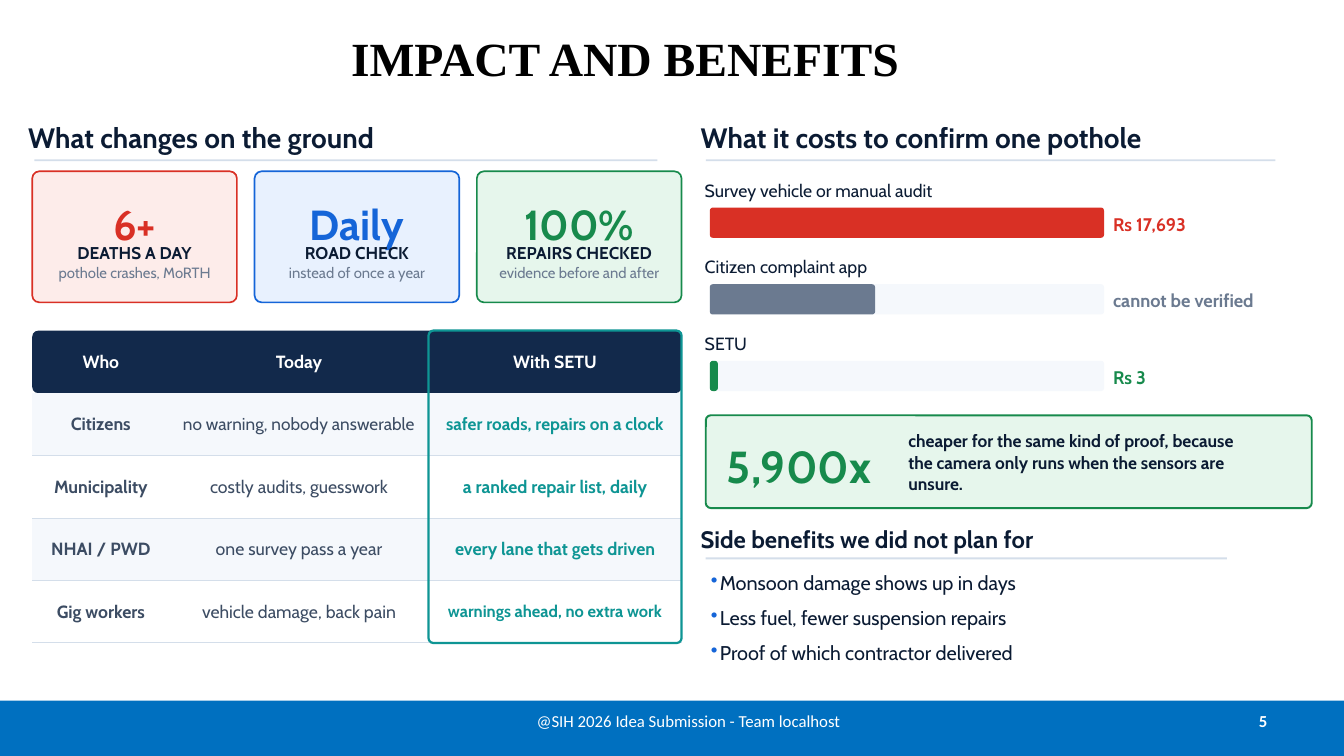
from lxml import etree
from pptx import Presentation
from pptx.dml.color import RGBColor
from pptx.enum.shapes import MSO_SHAPE
from pptx.enum.text import MSO_ANCHOR, PP_ALIGN
from pptx.oxml.ns import qn
from pptx.util import Inches, Pt

COLORS = {
    "white": "FFFFFF", "black": "000000", "footer": "0070C0",
    "navy": "12294B", "ink": "0B1B33", "slate": "3C4C63", "grey": "6B7A90",
    "rule": "D4DEEA", "pale": "F5F8FC", "teal": "0E9594",
    "red": "D93025", "red_tint": "FDECEA", "blue": "1565D8", "blue_tint": "E8F1FE",
    "green": "178A4C", "green_tint": "E6F6EC",
}
ALIGN = {"l": PP_ALIGN.LEFT, "c": PP_ALIGN.CENTER, "r": PP_ALIGN.RIGHT}
TABLE_LEFT, TABLE_TOP, ROW_HEIGHT = 0.32, 3.28, 0.62
COLUMN_WIDTHS = (1.36, 2.57, 2.51)
TABLE_WIDTH = sum(COLUMN_WIDTHS)


def rgb(name):
    return RGBColor.from_string(COLORS[name])


def add_run(p, text, size=12.6, color="ink", bold=False, font="Cabin"):
    r = p.add_run()
    r.text = text
    r.font.size = Pt(size)
    r.font.name = font
    r.font.bold = bold
    r.font.color.rgb = rgb(color)


def add_text(slide, text, x, y, w, h, align="l", wrap=False, line_pt=None, **style):
    tf = slide.shapes.add_textbox(Inches(x), Inches(y), Inches(w), Inches(h)).text_frame
    tf.margin_left = tf.margin_right = tf.margin_top = tf.margin_bottom = 0
    tf.word_wrap = wrap
    tf.vertical_anchor = MSO_ANCHOR.MIDDLE
    p = tf.paragraphs[0]
    p.alignment = ALIGN[align]
    if line_pt:
        p.line_spacing = Pt(line_pt)
    add_run(p, text, **style)
    return tf


def add_box(slide, kind, x, y, w, h, fill=None, line=None, width=1.2, radius=None):
    sp = slide.shapes.add_shape(kind, Inches(x), Inches(y), Inches(w), Inches(h))
    sp.shadow.inherit = False
    if radius is not None:
        sp.adjustments[0] = radius / min(w, h)
    if fill:
        sp.fill.solid()
        sp.fill.fore_color.rgb = rgb(fill)
    else:
        sp.fill.background()
    if line:
        sp.line.color.rgb = rgb(line)
        sp.line.width = Pt(width)
    else:
        sp.line.fill.background()
    return sp


def add_heading(slide, text, x, y, h, size, rule_x, rule_y, rule_w):
    add_text(slide, text, x, y, 5, h, size=size, bold=True)
    add_box(slide, MSO_SHAPE.RECTANGLE, rule_x, rule_y, rule_w, 0.02, "rule")


def add_card(slide, x, color, figure, label, note):
    add_box(slide, MSO_SHAPE.ROUNDED_RECTANGLE, x, 1.7, 2.03, 1.3, f"{color}_tint", color, radius=0.07)
    add_text(slide, figure, x, 1.82, 2.03, 0.79, "c", size=30, color=color, bold=True)
    add_text(slide, label, x, 2.35, 2.03, 0.32, "c", size=12.2, bold=True)
    add_text(slide, note, x, 2.56, 2.03, 0.28, "c", size=10.6, color="grey")


def set_borders(cell, ruled_sides):
    tc_pr = cell._tc.get_or_add_tcPr()
    for i, side in enumerate(("lnL", "lnR", "lnT", "lnB")):
        ln = etree.Element(qn(f"a:{side}"), w="9525")
        if side in ruled_sides:
            fill = etree.SubElement(ln, qn("a:solidFill"))
            etree.SubElement(fill, qn("a:srgbClr"), val=COLORS["rule"])
        else:
            etree.SubElement(ln, qn("a:noFill"))
        tc_pr.insert(i, ln)


def add_benefit_table(slide, rows):
    add_box(slide, MSO_SHAPE.ROUNDED_RECTANGLE, TABLE_LEFT, TABLE_TOP, TABLE_WIDTH, ROW_HEIGHT,
            "navy", radius=0.06)
    table = slide.shapes.add_table(len(rows), 3, Inches(TABLE_LEFT), Inches(TABLE_TOP),
                                   Inches(TABLE_WIDTH), Inches(ROW_HEIGHT * len(rows))).table
    table.first_row = table.horz_banding = False
    for column, width in zip(table.columns, COLUMN_WIDTHS):
        column.width = Inches(width)
    sizes = {"no warning, nobody answerable": 12.3, "safer roads, repairs on a clock": 12.3,
             "warnings ahead, no extra work": 11.8}
    for i, row in enumerate(rows):
        table.rows[i].height = Inches(ROW_HEIGHT)
        ruled_sides = [side for side, first in (("lnT", 2), ("lnB", 1)) if i >= first]
        for j, text in enumerate(row):
            cell = table.cell(i, j)
            if i % 2:
                cell.fill.solid()
                cell.fill.fore_color.rgb = rgb("pale")
            else:
                cell.fill.background()
            cell.vertical_anchor = MSO_ANCHOR.MIDDLE
            cell.margin_left = cell.margin_right = 0
            p = cell.text_frame.paragraphs[0]
            p.alignment = PP_ALIGN.CENTER
            color = "white" if i == 0 else "teal" if j == 2 else "slate"
            add_run(p, text, sizes.get(text, 12.6), color, bold=i == 0 or j != 1)
            set_borders(cell, ruled_sides)
    add_box(slide, MSO_SHAPE.ROUNDED_RECTANGLE, TABLE_LEFT + sum(COLUMN_WIDTHS[:2]), TABLE_TOP,
            COLUMN_WIDTHS[2], ROW_HEIGHT * len(rows), line="teal", width=1.6, radius=0.05)


def add_cost_bar(slide, y, label, length, value, color):
    track = 3.91
    add_text(slide, label, 6.99, y, 2.5, 0.33)
    if length < track:
        add_box(slide, MSO_SHAPE.ROUNDED_RECTANGLE, 7.04, y + 0.34, track, 0.3, "pale", radius=0.03)
    add_box(slide, MSO_SHAPE.ROUNDED_RECTANGLE, 7.04, y + 0.34, length, 0.3, color, radius=0.03)
    add_text(slide, value, 11.04, y + 0.33, 1.7, 0.34, size=13, color=color, bold=True)


def add_callout(slide):
    add_box(slide, MSO_SHAPE.ROUNDED_RECTANGLE, 7, 4.12, 6.01, 0.92, "green_tint", "green", 1.4, 0.05)
    add_text(slide, "5,900x", 7.21, 4.2, 1.51, 0.84, size=32, color="green", bold=True)
    add_text(slide, "cheaper for the same kind of proof, because the camera only runs when the "
             "sensors are unsure.", 9.01, 4.2, 3.4, 0.76, wrap=True, line_pt=15.6, size=12.4, bold=True)


def add_bullets(slide, items):
    tf = add_text(slide, items[0], 7.05, 5.6, 4.5, 1.05, size=14.2)
    for item in items[1:]:
        p = tf.add_paragraph()
        p.space_before = Pt(8)
        add_run(p, item, 14.2)
    for p in tf.paragraphs:
        p_pr = p._p.get_or_add_pPr()
        p_pr.set("marL", str(Inches(0.09)))
        p_pr.set("indent", str(-Inches(0.09)))
        bullet_color = etree.SubElement(p_pr, qn("a:buClr"))
        etree.SubElement(bullet_color, qn("a:srgbClr"), val=COLORS["blue"])
        etree.SubElement(p_pr, qn("a:buChar"), char="•")


def main():
    prs = Presentation()
    prs.slide_width, prs.slide_height = Inches(13.33), Inches(7.5)
    slide = prs.slides.add_slide(prs.slide_layouts[6])

    add_box(slide, MSO_SHAPE.RECTANGLE, 0, 6.95, 13.33, 0.55, "footer")
    add_text(slide, "IMPACT AND BENEFITS", 1.85, 0.05, 8.7, 1.05, "c",
             size=34, color="black", bold=True, font="Times New Roman")
    add_text(slide, "@SIH 2026 Idea Submission - Team localhost", 5.08, 6.95, 3.5, 0.4, "c",
             size=12, color="white", font="Calibri")
    add_text(slide, "5", 9.56, 6.95, 3.01, 0.4, "r", size=12, color="white", bold=True, font="Calibri")

    add_heading(slide, "What changes on the ground", 0.28, 1.1, 0.53, 20, 0.34, 1.58, 6.18)
    cards = [
        ("red", "6+", "DEATHS A DAY", "pothole crashes, MoRTH"),
        ("blue", "Daily", "ROAD CHECK", "instead of once a year"),
        ("green", "100%", "REPAIRS CHECKED", "evidence before and after"),
    ]
    for i, card in enumerate(cards):
        add_card(slide, 0.32 + 2.205 * i, *card)
    add_benefit_table(slide, [
        ("Who", "Today", "With SETU"),
        ("Citizens", "no warning, nobody answerable", "safer roads, repairs on a clock"),
        ("Municipality", "costly audits, guesswork", "a ranked repair list, daily"),
        ("NHAI / PWD", "one survey pass a year", "every lane that gets driven"),
        ("Gig workers", "vehicle damage, back pain", "warnings ahead, no extra work"),
    ])

    add_heading(slide, "What it costs to confirm one pothole", 6.95, 1.1, 0.53, 20, 7, 1.58, 5.65)
    costs = [
        ("Survey vehicle or manual audit", 3.91, "Rs 17,693", "red"),
        ("Citizen complaint app", 1.64, "cannot be verified", "grey"),
        ("SETU", 0.08, "Rs 3", "green"),
    ]
    for i, cost in enumerate(costs):
        add_cost_bar(slide, 1.72 + 0.76 * i, *cost)
    add_callout(slide)

    add_heading(slide, "Side benefits we did not plan for", 6.95, 5.12, 0.45, 17, 7, 5.53, 5.17)
    add_bullets(slide, ["Monsoon damage shows up in days", "Less fuel, fewer suspension repairs",
                        "Proof of which contractor delivered"])
    prs.save("out.pptx")


if __name__ == "__main__":
    main()
